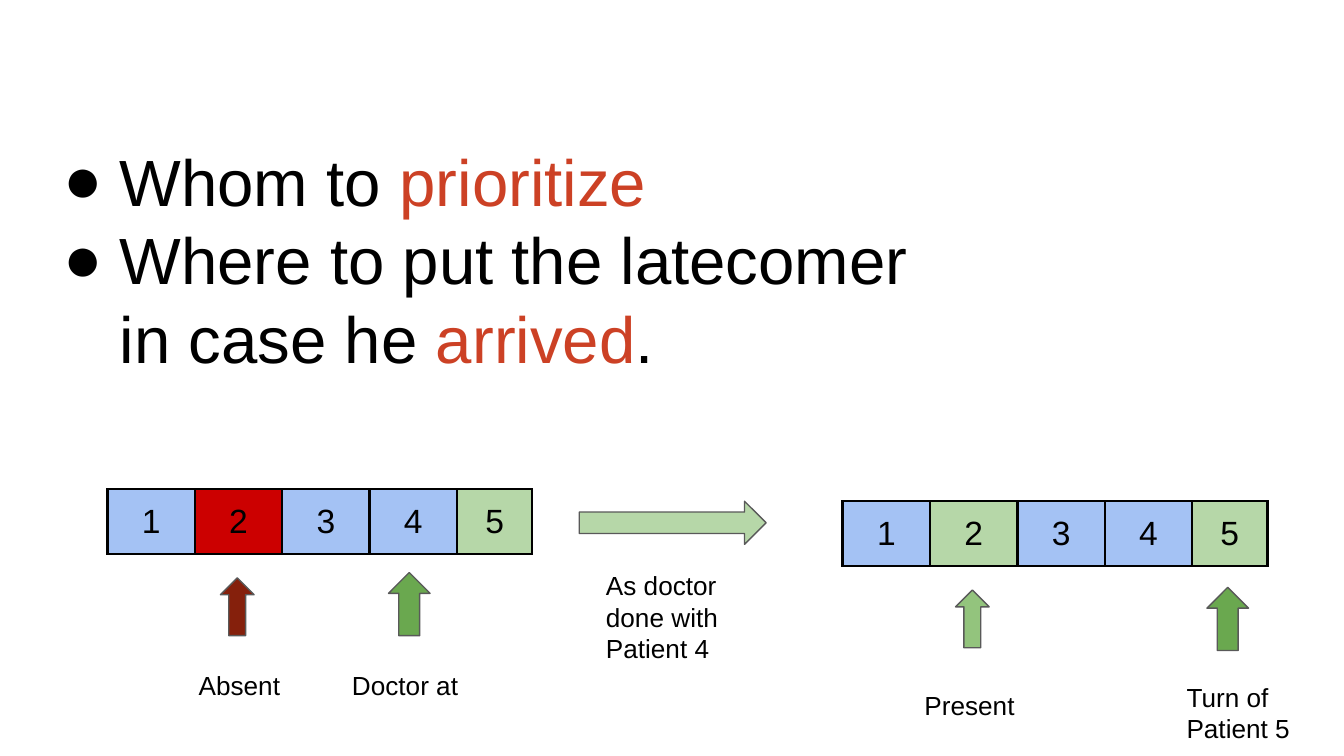
from dataclasses import dataclass

from lxml.etree import SubElement
from pptx import Presentation
from pptx.dml.color import RGBColor
from pptx.enum.shapes import MSO_SHAPE
from pptx.enum.text import MSO_ANCHOR, MSO_AUTO_SIZE, PP_ALIGN
from pptx.oxml.ns import qn
from pptx.util import Inches, Pt


@dataclass(frozen=True)
class Theme:
    """Colours, type sizes and font of the slide."""
    font: str = "Arial"
    title_size: int = 35
    cell_size: int = 18
    label_size: int = 14
    ink: str = "000000"
    accent: str = "CC4125"
    outline: str = "595959"
    waiting: str = "A4C2F4"
    absent: str = "CC0000"
    absent_arrow: str = "85200C"
    current: str = "B6D7A8"
    present_arrow: str = "93C47D"
    doctor_arrow: str = "6AA84F"


THEME = Theme()


def rgb(color):
    """Turn a hex string into a colour."""
    return RGBColor.from_string(color)


def style_font(para, size):
    """Set the font of a whole paragraph."""
    para.font.name = THEME.font
    para.font.size = Pt(size)
    para.font.color.rgb = rgb(THEME.ink)


def set_margins(item):
    """Give a text frame or a cell equal margins."""
    item.margin_left = item.margin_right = Inches(0.1)
    item.margin_top = item.margin_bottom = Inches(0.1)


def add_bullet(para):
    """Give a paragraph a round bullet with a hanging indent."""
    properties = para._p.get_or_add_pPr()
    properties.set("marL", str(Inches(0.5)))
    properties.set("indent", str(Inches(-0.42)))
    bullet_color = SubElement(properties, qn("a:buClr"))
    SubElement(bullet_color, qn("a:srgbClr"), val=THEME.ink)
    SubElement(properties, qn("a:buFont"), typeface=THEME.font)
    SubElement(properties, qn("a:buChar"), char="●")


def fill_title(title, points):
    """Write the questions as bullets, with their key words in the accent colour."""
    title.left, title.top = Inches(0.29), Inches(0.2)
    title.width, title.height = Inches(6.96), Inches(3.45)
    frame = title.text_frame
    frame.word_wrap = True
    frame.auto_size = MSO_AUTO_SIZE.NONE
    frame.vertical_anchor = MSO_ANCHOR.MIDDLE
    set_margins(frame)
    for index, spans in enumerate(points):
        para = frame.add_paragraph() if index else frame.paragraphs[0]
        add_bullet(para)
        para.alignment = PP_ALIGN.LEFT
        para.line_spacing = 1.0
        style_font(para, THEME.title_size)
        for text, color in spans:
            span = para.add_run()
            span.text = text
            span.font.color.rgb = rgb(color)


def add_borders(cell):
    """Draw a line on each side of a cell."""
    properties = cell._tc.get_or_add_tcPr()
    for position, side in enumerate(("a:lnL", "a:lnR", "a:lnT", "a:lnB")):
        line = properties.makeelement(qn(side), {"w": str(Pt(1.5))})
        fill = SubElement(line, qn("a:solidFill"))
        SubElement(fill, qn("a:srgbClr"), val=THEME.ink)
        properties.insert(position, line)


def add_queue(page, left, top, colors):
    """Add a one-row table of numbered patients."""
    widths = [0.65] * (len(colors) - 1) + [0.56]
    table = page.shapes.add_table(
        1, len(colors), Inches(left), Inches(top), Inches(sum(widths)), Inches(0.47)
    ).table
    table.first_row = table.horz_banding = False
    for index, (width, color) in enumerate(zip(widths, colors)):
        table.columns[index].width = Inches(width)
        cell = table.cell(0, index)
        cell.fill.solid()
        cell.fill.fore_color.rgb = rgb(color)
        set_margins(cell)
        add_borders(cell)
        para = cell.text_frame.paragraphs[0]
        para.text = str(index + 1)
        para.alignment = PP_ALIGN.CENTER
        style_font(para, THEME.cell_size)


def add_arrow(page, left, top, width, height, color, rotation=270):
    """Add a block arrow, pointing up unless told otherwise."""
    arrow = page.shapes.add_shape(
        MSO_SHAPE.RIGHT_ARROW, Inches(left), Inches(top), Inches(width), Inches(height)
    )
    arrow.rotation = rotation
    arrow.shadow.inherit = False
    arrow.fill.solid()
    arrow.fill.fore_color.rgb = rgb(color)
    arrow.line.color.rgb = rgb(THEME.outline)
    arrow.line.width = Pt(0.75)


def add_label(page, text, left, top, width, height):
    """Add a small wrapped text."""
    box = page.shapes.add_textbox(Inches(left), Inches(top), Inches(width), Inches(height))
    frame = box.text_frame
    frame.word_wrap = True
    frame.auto_size = MSO_AUTO_SIZE.SHAPE_TO_FIT_TEXT
    set_margins(frame)
    para = frame.paragraphs[0]
    para.text = text
    style_font(para, THEME.label_size)


def main():
    """Build the slide and save it."""
    deck = Presentation()
    deck.slide_width = Inches(10)
    deck.slide_height = deck.slide_width * 9 // 16
    page = deck.slides.add_slide(deck.slide_layouts[5])
    ink, accent = THEME.ink, THEME.accent
    fill_title(page.shapes.title, [
        [("Whom to ", ink), ("prioritize", accent)],
        [("Where to put the latecomer in case he ", ink), ("arrived", accent), (".", ink)],
    ])

    waiting, current = THEME.waiting, THEME.current
    add_queue(page, 0.8, 3.64, [waiting, THEME.absent, waiting, waiting, current])
    add_queue(page, 6.27, 3.73, [waiting, current, waiting, waiting, current])

    add_arrow(page, 4.31, 3.73, 1.39, 0.32, current, rotation=0)
    for left, top in ((2.81, 4.34), (8.9, 4.45)):
        add_arrow(page, left, top, 0.47, 0.31, THEME.doctor_arrow)
    add_arrow(page, 1.55, 4.39, 0.43, 0.25, THEME.absent_arrow)
    add_arrow(page, 7.02, 4.48, 0.43, 0.25, THEME.present_arrow)

    for label in (
        ("Absent", 1.38, 4.88, 0.9, 0.44),
        ("Doctor at", 2.52, 4.88, 1.05, 0.44),
        ("As doctor done with Patient 4", 4.41, 4.14, 1.39, 0.91),
        ("Present", 6.78, 5.03, 0.9, 0.44),
        ("Turn of Patient 5", 8.73, 4.97, 1.05, 0.67),
    ):
        add_label(page, *label)
    deck.save("out.pptx")


if __name__ == "__main__":
    main()
